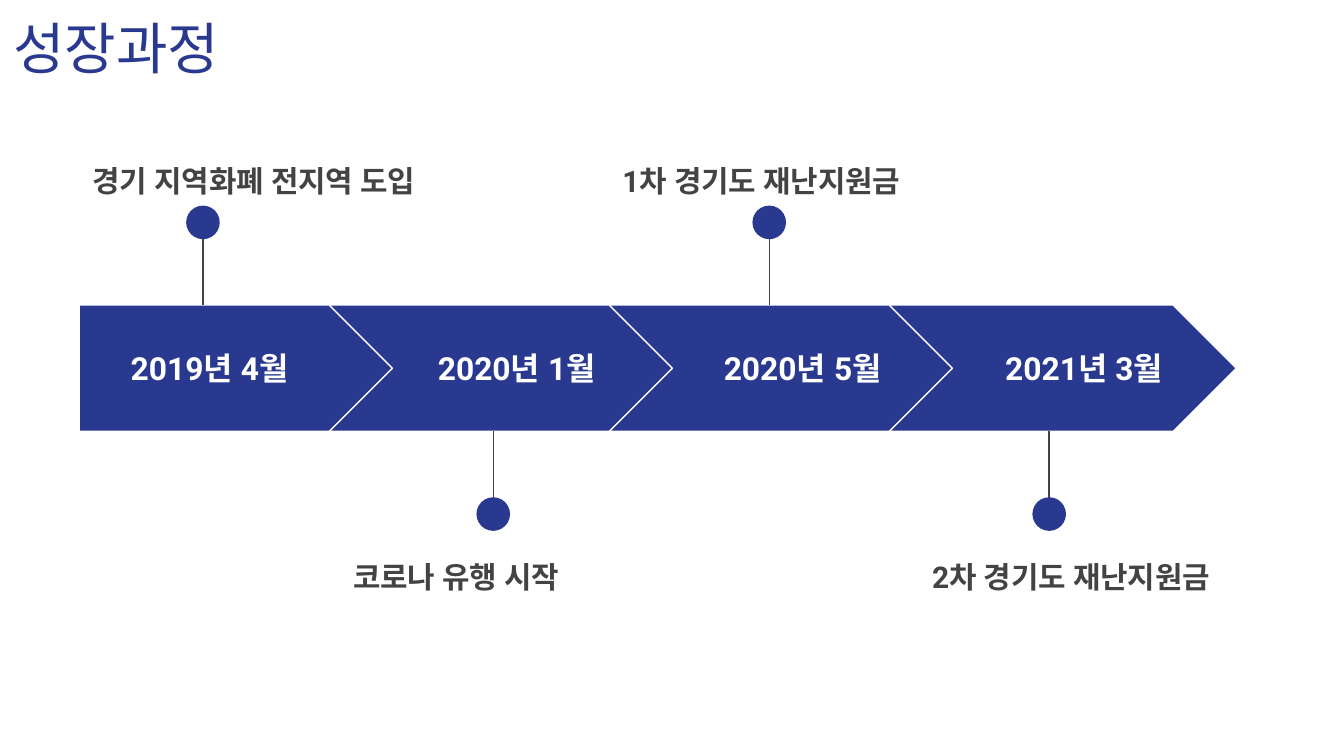
from collections import namedtuple

from lxml import etree
from pptx import Presentation
from pptx.dml.color import RGBColor
from pptx.enum.shapes import MSO_CONNECTOR, MSO_SHAPE
from pptx.enum.text import MSO_ANCHOR, MSO_AUTO_SIZE, PP_ALIGN
from pptx.oxml.ns import qn
from pptx.util import Inches, Pt

PENTAGON, CHEVRON, OVAL = MSO_SHAPE.PENTAGON, MSO_SHAPE.CHEVRON, MSO_SHAPE.OVAL
STRAIGHT = MSO_CONNECTOR.STRAIGHT
TOP, MIDDLE = MSO_ANCHOR.TOP, MSO_ANCHOR.MIDDLE
LEFT, CENTER = PP_ALIGN.LEFT, PP_ALIGN.CENTER
COLORS = {"navy": "2A3990", "gray": "434343", "white": "FFFFFF"}
FONT = "Roboto"

Box = namedtuple("Box", "left top width height")
Milestone = namedtuple(
    "Milestone", "date event above date_dx date_width pin_dx event_dx event_width")

SLIDE = Box(0, 0, 10, 10 * 9 / 16)
TITLE = Box(0, 0, 2.45, 0.59)
BAND = Box(0.59, 2.27, 8.61, 0.94)
FIRST_STEP, ARROW_TIP = 1.86, 0.5
DOT, STEM, DOT_REACH = 0.25, 0.69, 0.74
MILESTONES = [
    Milestone("2019년 4월", "경기 지역화폐 전지역 도입", True, 0, 1.94, 0.92, 0, 2.84),
    Milestone("2020년 1월", "코로나 유행 시작", False, 0.39, 2.01, 1.22, 0.08, 2.82),
    Milestone("2020년 5월", "1차 경기도 재난지원금", True, 0.32, 2.24, 1.19, 0, 2.53),
    Milestone("2021년 3월", "2차 경기도 재난지원금", False, 0.33, 2.24, 1.19, 0.22, 2.82),
]


def color(name):
    """Return the named palette colour."""
    return RGBColor.from_string(COLORS[name])


def inches(box):
    """Return the sides of a box as lengths."""
    return [Inches(side) for side in box]


def write(holder, text, size, ink, bold=False, align=LEFT, anchor=TOP, spacing=1.0):
    """Fill a text holder with one formatted paragraph."""
    frame = holder.text_frame
    frame.word_wrap = True
    frame.auto_size = MSO_AUTO_SIZE.NONE
    frame.vertical_anchor = anchor
    frame.margin_left = frame.margin_right = Inches(0.1)
    frame.margin_top = frame.margin_bottom = Inches(0.1)
    paragraph = frame.paragraphs[0]
    paragraph.alignment = align
    paragraph.line_spacing = spacing
    run = paragraph.add_run()
    run.text = text
    run.font.name, run.font.size, run.font.bold = FONT, Pt(size), bold
    run.font.color.rgb = color(ink)
    for script in ("a:ea", "a:cs"):
        etree.SubElement(run._r.rPr, qn(script), typeface=FONT)


def add_filled(slide, kind, box, outline=None):
    """Add a navy shape with an optional outline."""
    shape = slide.shapes.add_shape(kind, *inches(box))
    shape.shadow.inherit = False
    shape.fill.solid()
    shape.fill.fore_color.rgb = color("navy")
    if outline:
        shape.line.color.rgb = color(outline)
        shape.line.width = Pt(0.75)
    else:
        shape.line.fill.background()
    return shape


def add_title(slide, box, text):
    """Place the slide title in its box."""
    title = slide.shapes.title
    title.left, title.top, title.width, title.height = inches(box)
    write(title, text, 30, "navy")


def add_step(slide, box, kind, milestone):
    """Draw one arrow of the band with its date."""
    add_filled(slide, kind, box, "white").adjustments[0] = 0.5
    date_height = 0.59
    date_box = Box(box.left + milestone.date_dx,
                   box.top + (box.height - date_height) / 2,
                   milestone.date_width, date_height)
    date = slide.shapes.add_textbox(*inches(date_box))
    write(date, milestone.date, 17, "white", bold=True, align=CENTER, anchor=MIDDLE)


def add_pin(slide, box, milestone):
    """Draw the stem, dot and event label of one step."""
    center = box.left + milestone.pin_dx
    if milestone.above:
        start, end = box.top, box.top - STEM
        dot_top, event_top = box.top - DOT_REACH, box.top - 1.2
    else:
        start = box.top + box.height
        end = start + STEM
        dot_top, event_top = start + DOT_REACH - DOT, start + 0.81
    stem = slide.shapes.add_connector(
        STRAIGHT, *inches((center, start, center, end)))
    stem.line.color.rgb = color("gray")
    stem.line.width = Pt(0.75)
    etree.SubElement(stem._element.spPr, qn("a:effectLst"))
    add_filled(slide, OVAL, Box(center - DOT / 2, dot_top, DOT, DOT))
    event_box = Box(box.left + milestone.event_dx, event_top,
                    milestone.event_width, 0.43)
    event = slide.shapes.add_textbox(*inches(event_box))
    write(event, milestone.event, 16, "gray", bold=True, spacing=1.15)


def add_timeline(slide, band, milestones):
    """Lay the milestones along the band in equal steps after the first."""
    pitch = (band.width - FIRST_STEP - ARROW_TIP) / (len(milestones) - 1)
    for index, milestone in enumerate(milestones):
        if index:
            left, step, kind = band.left + FIRST_STEP + (index - 1) * pitch, pitch, CHEVRON
        else:
            left, step, kind = band.left, FIRST_STEP, PENTAGON
        box = Box(left, band.top, step + ARROW_TIP, band.height)
        add_step(slide, box, kind, milestone)
        add_pin(slide, box, milestone)


def main():
    """Build and save the one-slide deck."""
    deck = Presentation()
    deck.slide_width, deck.slide_height = Inches(SLIDE.width), Inches(SLIDE.height)
    slide = deck.slides.add_slide(deck.slide_layouts[5])
    add_timeline(slide, BAND, MILESTONES)
    add_title(slide, TITLE, "성장과정")
    deck.save("out.pptx")


if __name__ == "__main__":
    main()
